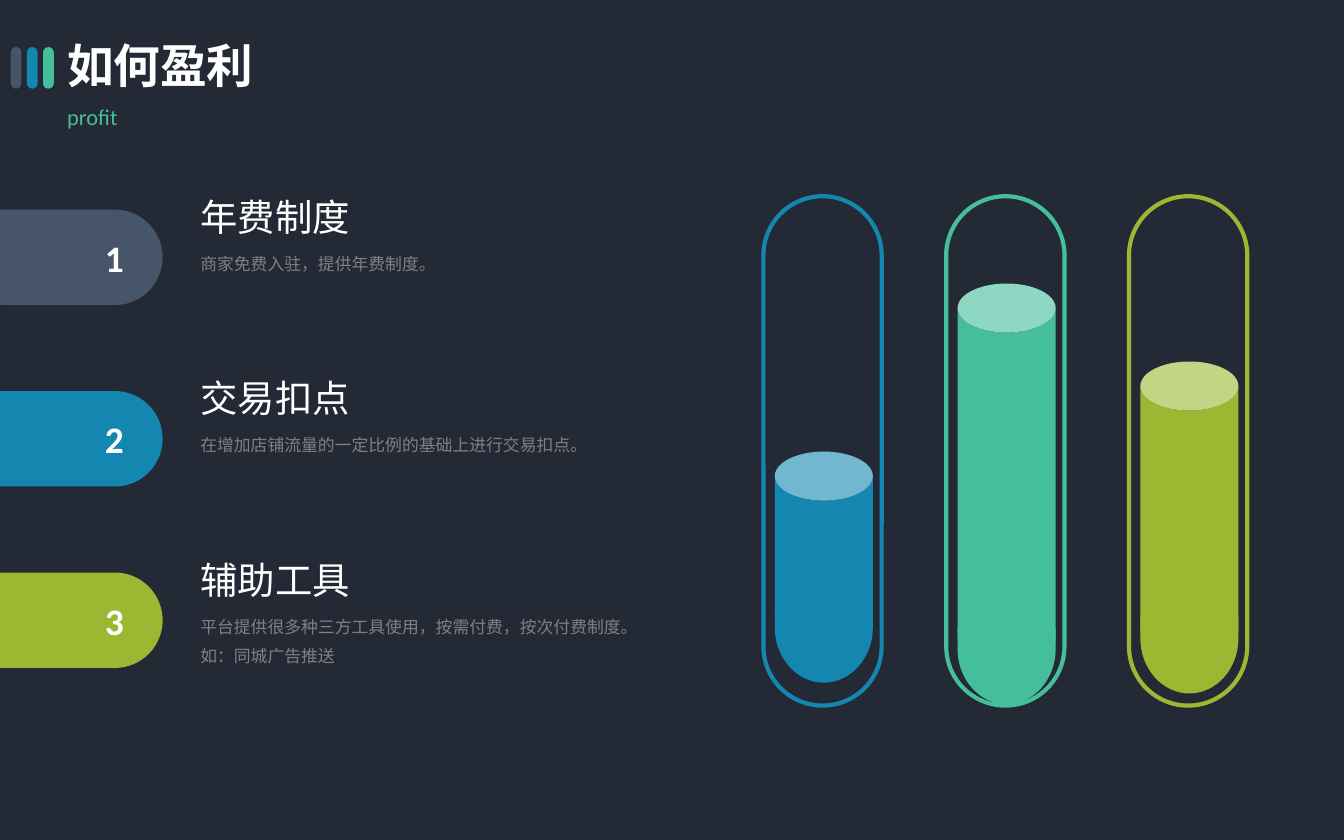
from lxml import etree
from pptx import Presentation
from pptx.dml.color import RGBColor
from pptx.enum.shapes import MSO_SHAPE
from pptx.enum.text import MSO_ANCHOR, MSO_AUTO_SIZE, PP_ALIGN
from pptx.oxml.ns import qn
from pptx.util import Inches, Pt

ROUND, CAN = MSO_SHAPE.ROUNDED_RECTANGLE, MSO_SHAPE.CAN
TOP, MID = MSO_ANCHOR.TOP, MSO_ANCHOR.MIDDLE
LEFT, MIDDLE = PP_ALIGN.LEFT, PP_ALIGN.CENTER
FIXED = MSO_AUTO_SIZE.NONE

WIDE, HIGH = 10, 6.25
FONT = "Calibri"
HUES = {
    "ground": "232A35", "slate": "46556A", "blue": "1487B1", "mint": "44BE9B",
    "lime": "9CB833", "white": "FFFFFF", "grey": "808080",
}
TITLE, SUB = "如何盈利", "profit"
MARKS = ["slate", "blue", "mint"]
ITEMS = [
    ("slate", "年费制度", ["商家免费入驻，提供年费制度。"]),
    ("blue", "交易扣点", ["在增加店铺流量的一定比例的基础上进行交易扣点。"]),
    ("lime", "辅助工具", ["平台提供很多种三方工具使用，按需付费，按次付费制度。", "如：同城广告推送"]),
]
TUBES = [
    ("blue", 5.68, 3.36, 5.08),
    ("mint", 7.04, 2.11, 5.24),
    ("lime", 8.4, 2.69, 5.16),
]
ROW, PITCH = 1.56, 1.35
TUBE_W, TUBE_H, TUBE_Y = 0.88, 3.79, 1.46
FILL_W, BOWL, ARC, BEND = 0.73, 0.57, 0.41, 0.55


def hue(name):
    return RGBColor.from_string(HUES[name])


def place(shape, box):
    shape.left, shape.top, shape.width, shape.height = map(Inches, box)


def paint(shape, name):
    shape.shadow.inherit = False
    shape.fill.solid()
    shape.fill.fore_color.rgb = hue(name)
    shape.line.fill.background()


def solid(kind, box, name):
    shape = slide.shapes.add_shape(kind, *map(Inches, box))
    shape.adjustments[0] = 0.5
    paint(shape, name)
    return shape


def write(shape, box, lines, size, name, bold=False, align=LEFT, anchor=MID, lead=1.0):
    place(shape, box)
    frame = shape.text_frame
    frame.word_wrap = True
    frame.auto_size = FIXED
    frame.vertical_anchor = anchor
    frame.margin_left = frame.margin_right = 0
    frame.margin_top = frame.margin_bottom = 0
    for i, line in enumerate(lines):
        para = frame.paragraphs[0] if i == 0 else frame.add_paragraph()
        props = para._p.get_or_add_pPr()
        props.set("marL", "0")
        props.set("indent", "0")
        etree.SubElement(props, qn("a:buNone"))
        para.alignment = align
        para.line_spacing = lead
        para.space_before = Pt(1.5 if i else 0)
        run = para.add_run()
        run.text = line
        font = run.font
        font.name, font.size, font.bold = FONT, Pt(size), bold
        font.color.rgb = hue(name)


def label(*args, **style):
    write(slide.shapes.add_textbox(0, 0, 0, 0), *args, **style)


def curve(line, pulls):
    bend = etree.Element(qn("a:cubicBezTo"))
    for x, y in pulls:
        etree.SubElement(bend, qn("a:pt"), x=str(Inches(x)), y=str(Inches(y)))
    bend.append(line[0])
    line.getparent().replace(line, bend)


def bowl(left, base, name):
    half, rim = FILL_W / 2, BOWL - ARC
    spots = [(0, 0), (FILL_W, 0), (FILL_W, rim), (half, BOWL), (0, rim)]
    spots = [(Inches(left + x), Inches(base - BOWL + y)) for x, y in spots]
    pen = slide.shapes.build_freeform(*spots[0])
    pen.add_line_segments(spots[1:], close=True)
    shape = pen.convert_to_shape()
    lines = list(shape._element.iter(qn("a:lnTo")))
    deep, span = rim + ARC * BEND, half * BEND
    curve(lines[2], [(FILL_W, deep), (half + span, BOWL)])
    curve(lines[3], [(half - span, BOWL), (0, deep)])
    paint(shape, name)


def tube(name, left, top, base):
    inner = left + 0.085
    solid(CAN, (inner, top, FILL_W, base - 0.3 - top), name)
    bowl(inner, base, name)
    glass = solid(ROUND, (left, TUBE_Y, TUBE_W, TUBE_H), name)
    glass.rotation = 180
    glass.fill.background()
    glass.line.color.rgb = hue(name)
    glass.line.width = Pt(2.25)


deck = Presentation()
deck.slide_width, deck.slide_height = Inches(WIDE), Inches(HIGH)
slide = deck.slides.add_slide(deck.slide_layouts[4])
slide.background.fill.solid()
slide.background.fill.fore_color.rgb = hue("ground")
title, sub, *bodies = slide.placeholders

for i, name in enumerate(MARKS):
    solid(ROUND, (0.08 + 0.12 * i, 0.35, 0.08, 0.31), name)
write(title, (0.5, 0.29, 9, 0.39), [TITLE], 25, "white", bold=True)
write(sub, (0.5, 0.76, 9, 0.21), [SUB], 12, "mint")

for i, (name, head, lines) in enumerate(ITEMS):
    y = ROW + PITCH * i
    solid(ROUND, (-0.33, y, 1.54, 0.71), name)
    label((0.56, y + 0.05, 0.58, 0.61), [str(i + 1)], 20, "white", bold=True, align=MIDDLE)
    label((1.49, y - 0.15, 3.38, 0.4), [head], 20, "white")
    write(bodies[i], (1.49, y + 0.28, 3.38, 0.71), lines, 9, "grey", anchor=TOP, lead=1.3)

for row in TUBES:
    tube(*row)

deck.save("out.pptx")
